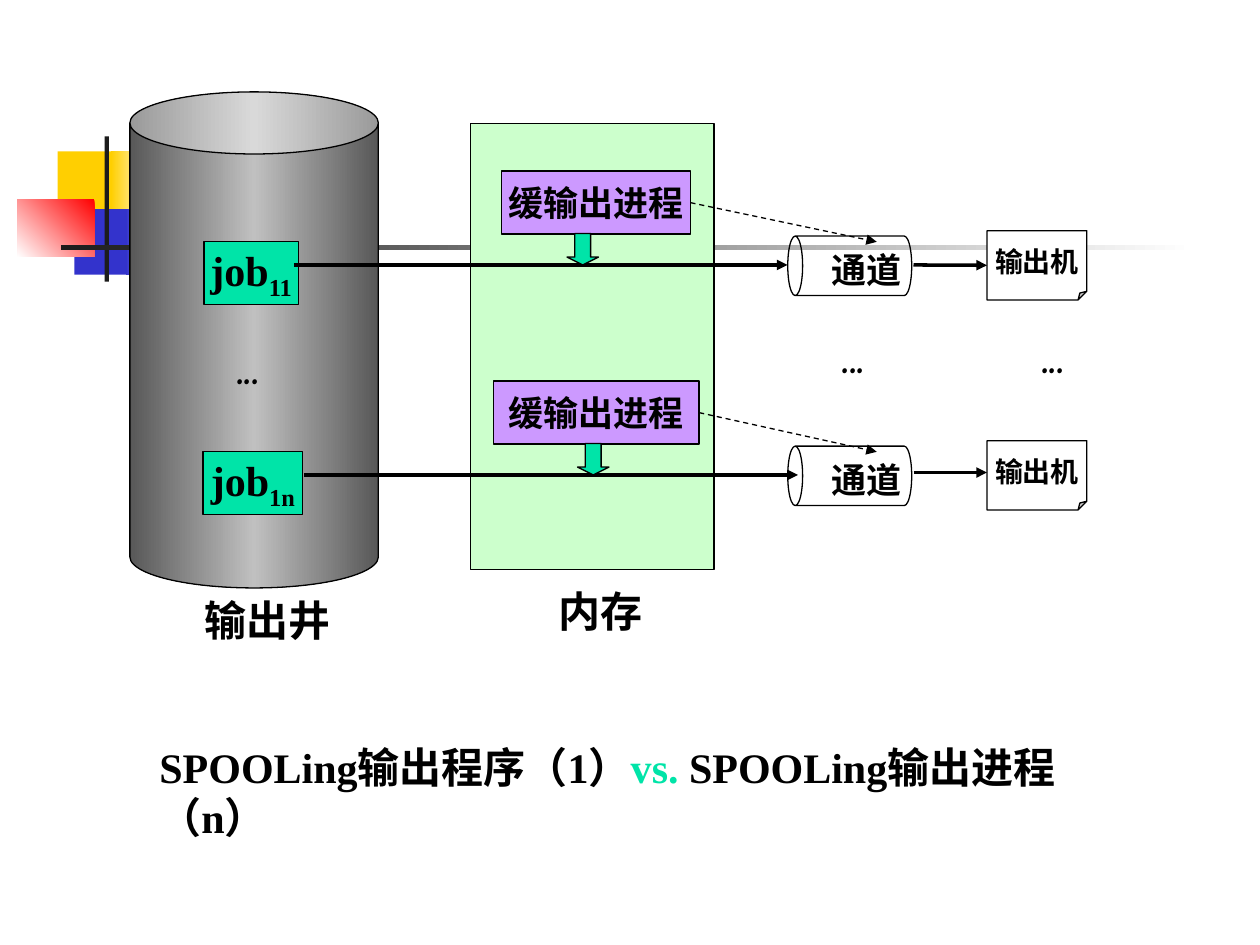
from copy import deepcopy

from lxml import etree
from pptx import Presentation
from pptx.dml.color import RGBColor
from pptx.enum import dml, shapes, text
from pptx.oxml import ns
from pptx.util import Pt

BLACK = RGBColor(0x00, 0x00, 0x00)
WHITE = RGBColor(0xFF, 0xFF, 0xFF)
YELLOW = RGBColor(0xFF, 0xCF, 0x01)
BLUE = RGBColor(0x33, 0x33, 0xCC)
RED = RGBColor(0xFF, 0x00, 0x00)
DARK = RGBColor(0x1C, 0x1C, 0x1C)
STEEL = RGBColor(0x58, 0x58, 0x58)
SILVER = RGBColor(0xC0, 0xC0, 0xC0)
GREEN = RGBColor(0x00, 0xE4, 0xA8)
MINT = RGBColor(0xCC, 0xFF, 0xCC)
PURPLE = RGBColor(0xCC, 0x99, 0xFF)

SERIF, COMIC = "Times New Roman", "Comic Neue"
ROW_PITCH = 120
MSO = shapes.MSO_SHAPE

prs = Presentation()
prs.slide_width, prs.slide_height = Pt(720), Pt(540)
s = prs.slides.add_slide(prs.slide_layouts[6])


def add_box(kind, box, fill=None, outline=True, runs=(), size=24, font=SERIF):
    """Add a shape (or a text box if kind is None).

    fill: None, a colour, or (angle, colours) for evenly spaced gradient stops.
    runs: (text, colour, baseline) tuples.
    """
    box = [Pt(v) for v in box]
    if kind is None:
        sp = s.shapes.add_textbox(*box)
    else:
        sp = s.shapes.add_shape(kind, *box)
        sp.shadow.inherit = False
        if fill is None:
            sp.fill.background()
        elif isinstance(fill, RGBColor):
            sp.fill.solid()
            sp.fill.fore_color.rgb = fill
        else:
            angle, colours = fill
            sp.fill.gradient()
            sp.fill.gradient_angle = angle
            last = sp.fill.gradient_stops[-1]._gs
            for _ in colours[2:]:
                last.addnext(deepcopy(last))
            for i, (stop, colour) in enumerate(zip(sp.fill.gradient_stops, colours)):
                stop.color.rgb = colour
                stop.position = i / (len(colours) - 1)
        if outline:
            sp.line.color.rgb = BLACK
            sp.line.width = Pt(0.75)
        else:
            sp.line.fill.background()
    if runs:
        tf = sp.text_frame
        tf.word_wrap = kind is None
        p = tf.paragraphs[0]
        if kind is None:
            tf.auto_size = text.MSO_AUTO_SIZE.SHAPE_TO_FIT_TEXT
        else:
            tf.vertical_anchor = text.MSO_ANCHOR.MIDDLE
            p.alignment = text.PP_ALIGN.CENTER
        p.font.name, p.font.size, p.font.bold = font, Pt(size), True
        for words, colour, baseline in runs:
            r = p.add_run()
            r.text = words
            r.font.color.rgb = colour
            if baseline:
                r._r.get_or_add_rPr().set("baseline", str(baseline))
    return sp


def add_arrow(x1, y1, x2, y2, width=2, dashed=False):
    c = s.shapes.add_connector(shapes.MSO_CONNECTOR.STRAIGHT, Pt(x1), Pt(y1), Pt(x2), Pt(y2))
    c.line.color.rgb = BLACK
    c.line.width = Pt(width)
    if dashed:
        c.line.dash_style = dml.MSO_LINE.DASH
    etree.SubElement(c.line._get_or_add_ln(), ns.qn("a:tailEnd"), type="triangle")
    etree.SubElement(c._element.spPr, ns.qn("a:effectLst"))
    return c


# Decoration behind the diagram
for box, fill in [
    ((33, 86.5, 34.5, 37.5), YELLOW),
    ((63.5, 86.5, 26, 37.5), (180, [WHITE, YELLOW])),
    ((42.5, 119.5, 33, 37.5), BLUE),
    ((72, 119.5, 29, 37.5), (180, [WHITE, BLUE])),
    ((10, 113.8, 44, 33), (225, [RED, WHITE])),
    ((59.8, 78, 2.4, 83), DARK),
    ((34.6, 140.2, 648, 2.4), (180, [WHITE, DARK])),
]:
    add_box(MSO.RECTANGLE, box, fill, outline=False)

# Output well and memory
add_box(MSO.CAN, (74.2, 52.5, 142, 283.5), (180, [STEEL, SILVER, STEEL]))
add_box(MSO.RECTANGLE, (269, 70.5, 139, 255), MINT)

# One row per job: subscript, job box, process box, down arrow, main and channel arrows
rows = [
    ("11", (116.5, 54), (286.5, 108), 324, (168, 450), 151.4),
    ("1n", (116, 57), (282, 117.5), 330, (174, 456), 150),
]
for i, (sub, job, process, down_x, main, channel_y) in enumerate(rows):
    dy = i * ROW_PITCH
    add_box(MSO.RECTANGLE, (job[0], 138 + dy, job[1], 36), GREEN,
            runs=[("job", BLACK, 0), (sub, BLACK, -25000)])
    sender = add_box(MSO.RECTANGLE, (process[0], 97.8 + dy, process[1], 36), PURPLE,
                     runs=[("缓输出进程", BLACK, 0)], size=20)
    channel = add_box(MSO.CAN, (468.6, 116.5 + dy, 34, 70.8))
    channel.rotation = 270
    add_box(None, (468, 138.3 + dy, 66, 32), runs=[("通道", BLACK, 0)], size=20)
    add_arrow(main[0], 151.4 + dy, main[1], 151.4 + dy)
    down = add_box(MSO.DOWN_ARROW, (down_x, 133.4 + dy, 18, 18), GREEN)
    down._element.spPr.prstGeom.rewrite_guides([("adj1", 50000), ("adj2", 25000)])
    printer = add_box(MSO.FOLDED_CORNER, (564, 131.8 + dy, 57, 39.6), WHITE,
                      runs=[("输出机", BLACK, 0)], size=16)
    printer._element.spPr.prstGeom.rewrite_guides([("adj", 12500)])
    to_printer = add_arrow(522, channel_y + dy, 564, channel_y + dy)
    if abs(channel_y - 151.6) < 1:
        to_printer.end_connect(printer, 1)
    control = add_arrow(394.5, 115.8 + dy, 501, 138.2 + dy, 0.75, dashed=True)
    control.begin_connect(sender, 3)

# Ellipses between the rows
for x, y, w in [(128, 192, 42), (473.8, 185.8, 36), (588, 185.8, 36)]:
    add_box(None, (x, y, w, 36), runs=[("...", BLACK, 0)], font=COMIC)

# Labels and caption
add_box(None, (110, 336, 96, 36), runs=[("输出井", BLACK, 0)])
add_box(None, (312, 331, 72, 36), runs=[("内存", BLACK, 0)])
add_box(None, (84, 420, 558, 65), runs=[
    ("SPOOLing输出程序（1）", BLACK, 0),
    ("vs.", GREEN, 0),
    (" SPOOLing输出进程（n）", BLACK, 0),
])

prs.save("out.pptx")
